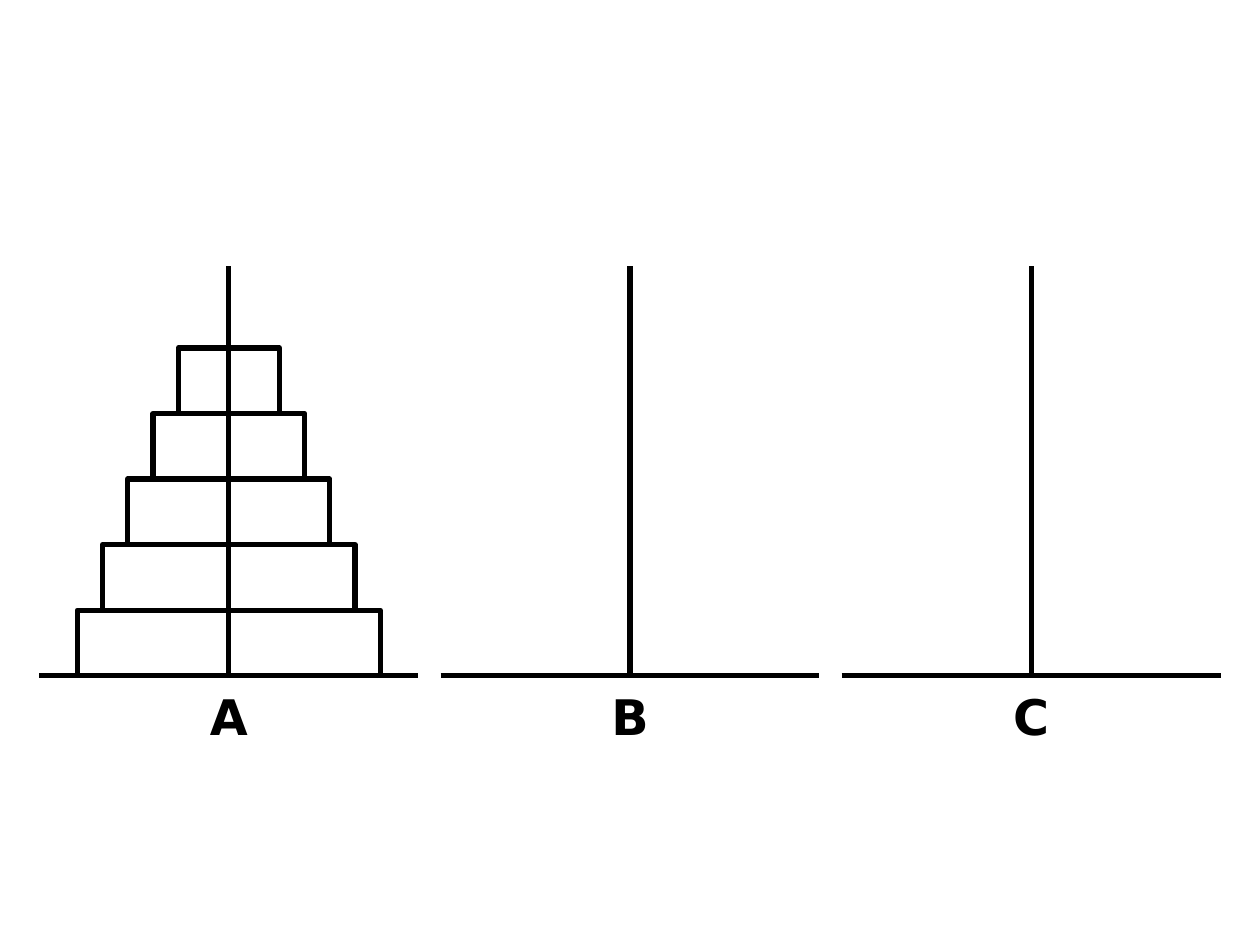
from lxml import etree
from pptx import Presentation
from pptx.dml.color import RGBColor
from pptx.enum import shapes, text
from pptx.oxml.ns import qn
from pptx.util import Pt

BLACK = RGBColor(0, 0, 0)
FONT = {"name": "DejaVu Sans", "size": Pt(28), "bold": True}
PARA = {"alignment": text.PP_ALIGN.CENTER, "line_spacing": Pt(24),
        "space_before": Pt(7)}
STROKE = Pt(3)


def style(obj, values):
    for key, value in values.items():
        setattr(obj, key, value)


def ink(line):
    line.color.rgb = BLACK
    line.width = STROKE


def add_line(group, x1, y1, x2, y2):
    line = group.shapes.add_connector(
        shapes.MSO_CONNECTOR.STRAIGHT, Pt(x1), Pt(y1), Pt(x2), Pt(y2))
    ink(line.line)
    etree.SubElement(line._element.spPr, qn("a:effectLst"))


def add_disks(group, mid, base, step, high, count):
    # Each disk is one step narrower than the one below it
    for level in range(count):
        wide = step * (count + 1 - level)
        disk = group.shapes.add_shape(
            shapes.MSO_SHAPE.FLOWCHART_PROCESS, Pt(mid - wide / 2),
            Pt(base - high * (level + 1)), Pt(wide), Pt(high))
        disk.fill.background()
        disk.shadow.inherit = False
        ink(disk.line)


def add_label(group, mid, top, name):
    wide, high = 55.4, 35.3
    box = group.shapes.add_textbox(
        Pt(mid - wide / 2), Pt(top), Pt(wide), Pt(high))
    box.text_frame.word_wrap = True
    para = box.text_frame.paragraphs[0]
    style(para, PARA)
    run = para.add_run()
    run.text = name
    style(run.font, FONT)
    run.font.color.rgb = BLACK


def add_peg(slide, left, top, wide, high, name, count):
    group = slide.shapes.add_group_shape()
    mid, base = left + wide / 2, top + high
    # Base and pole
    add_line(group, left, base, left + wide, base)
    add_line(group, mid, base, mid, top)
    # Stack of disks
    add_disks(group, mid, base, wide * 2 / 15, high * 0.16, count)
    add_label(group, mid, base + 12, name)


def main():
    deck = Presentation()
    deck.slide_width, deck.slide_height = Pt(720), Pt(540)
    slide = deck.slides.add_slide(deck.slide_layouts[6])
    # Three pegs at an equal pitch
    for spot, (name, count) in enumerate([("A", 5), ("B", 0), ("C", 0)]):
        add_peg(slide, 22.5 + 229.25 * spot, 152, 216.5, 234.2, name, count)
    deck.save("out.pptx")


if __name__ == "__main__":
    main()
